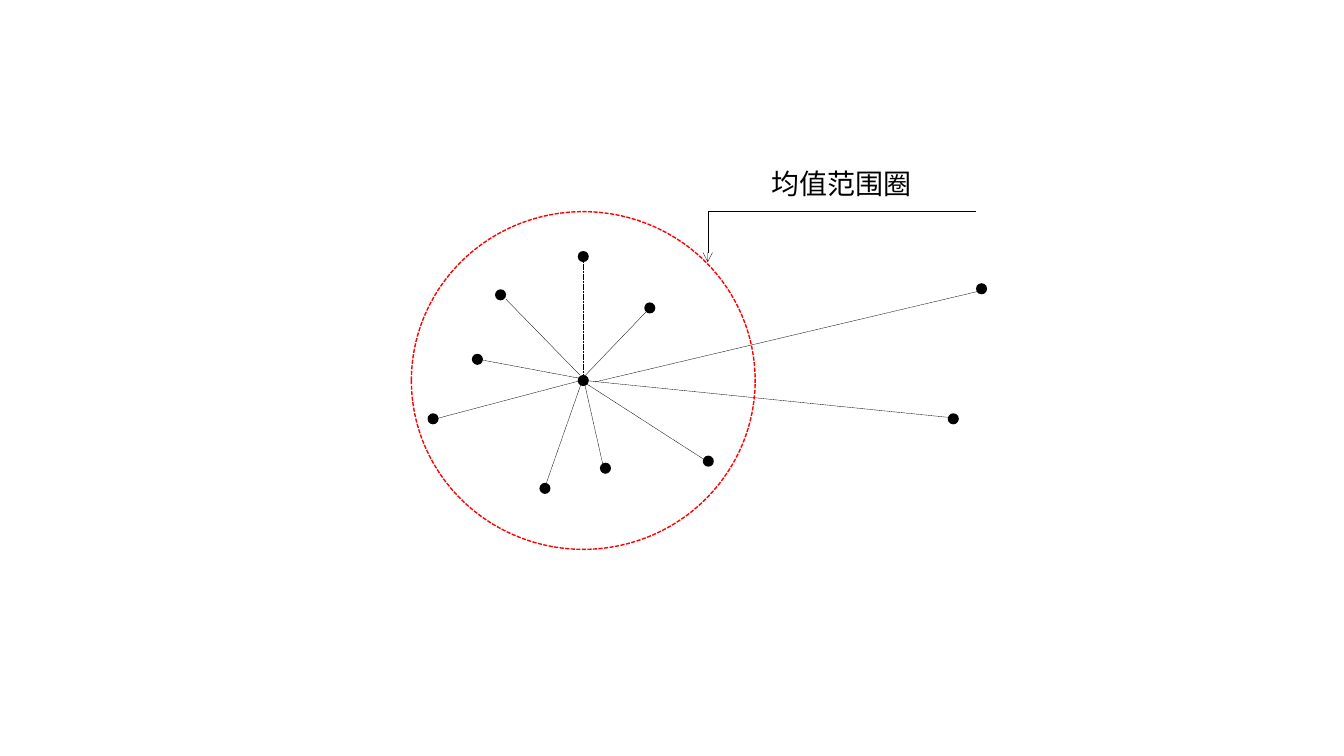
from dataclasses import dataclass

from lxml import etree
from pptx import Presentation
from pptx import util as u
from pptx.dml.color import RGBColor
from pptx.enum import dml, shapes, text
from pptx.oxml.ns import qn


@dataclass(frozen=True)
class Theme:
    ink: RGBColor = RGBColor(0, 0, 0)
    ring: RGBColor = RGBColor(255, 0, 0)
    font: str = "Calibri"
    label_size: int = 20
    hairline: float = 0.25
    ring_line: float = 1


def px(n):
    """100 px to the inch."""
    return u.Emu(n * 9144)


class Diagram:
    def __init__(self, s, theme):
        self.s, self.theme = s, theme

    def set_line(self, shape, color, width, dash=None):
        shape.line.color.rgb = color
        for name, value in {"width": u.Pt(width), "dash_style": dash}.items():
            setattr(shape.line, name, value)

    def oval(self, x, y, w, h):
        sp = self.s.shapes.add_shape(
            shapes.MSO_SHAPE.OVAL, px(x), px(y), px(w), px(h))
        sp.shadow.inherit = False
        return sp

    def dot(self, x, y, size=11):
        sp = self.oval(x, y, size, size)
        sp.fill.solid()
        sp.fill.fore_color.rgb = self.theme.ink
        sp.line.fill.background()

    def ring(self, x, y, w, h):
        sp = self.oval(x, y, w, h)
        sp.fill.background()
        self.set_line(sp, self.theme.ring, self.theme.ring_line,
                      dml.MSO_LINE.SQUARE_DOT)

    def connector(self, kind, start, end, dash=None):
        c = self.s.shapes.add_connector(kind, *map(px, start + end))
        self.set_line(c, self.theme.ink, self.theme.hairline, dash)
        etree.SubElement(c._element.spPr, qn("a:effectLst"))
        return c

    def spoke(self, start, end):
        self.connector(shapes.MSO_CONNECTOR.STRAIGHT, start, end,
                       dml.MSO_LINE.SQUARE_DOT)

    def callout(self, start, end):
        c = self.connector(shapes.MSO_CONNECTOR.ELBOW, start, end)
        # One right-angle bend, with an open arrowhead at the end
        c._element.spPr.find(qn("a:prstGeom")).set("prst", "bentConnector2")
        etree.SubElement(c.line._get_or_add_ln(), qn("a:tailEnd"), type="arrow")

    def label(self, words, x, y, w, h):
        tf = self.s.shapes.add_textbox(px(x), px(y), px(w), px(h)).text_frame
        tf.word_wrap = False
        tf.auto_size = text.MSO_AUTO_SIZE.SHAPE_TO_FIT_TEXT
        r = tf.paragraphs[0].add_run()
        r.text = words
        style = {"name": self.theme.font, "size": u.Pt(self.theme.label_size)}
        for name, value in style.items():
            setattr(r.font, name, value)
        r.font.color.rgb = self.theme.ink


# Top left corners of the dots, centre point first
DOTS = [(573, 372), (424, 410), (468, 351), (491, 287), (535, 479), (940, 410),
        (968, 281), (595, 459), (639, 300), (697, 452), (573, 249)]

# Lines between the centre point and the others
SPOKES = [
    ((502, 297), (575, 372)),
    ((472, 356), (584, 377)),
    ((434, 415), (578, 377)),
    ((542, 479), (577, 379)),
    ((575, 377), (950, 415)),
    ((579, 379), (697, 455)),
    ((579, 374), (645, 305)),
    ((578, 253), (578, 378)),
    ((590, 379), (979, 287)),
    ((579, 377), (600, 470)),
]


def main():
    prs = Presentation()
    prs.slide_width, prs.slide_height = px(1333), px(750)
    d = Diagram(prs.slides.add_slide(prs.slide_layouts[6]), Theme())

    # Points and their distances to the centre
    for corner in DOTS:
        d.dot(*corner)
    for start, end in SPOKES:
        d.spoke(start, end)

    # Mean range ring and its callout
    d.ring(408, 210, 341, 335)
    d.callout((968, 209), (702, 260))
    d.label("均值范围圈", 755, 160, 159, 43)

    prs.save("out.pptx")


if __name__ == "__main__":
    main()
